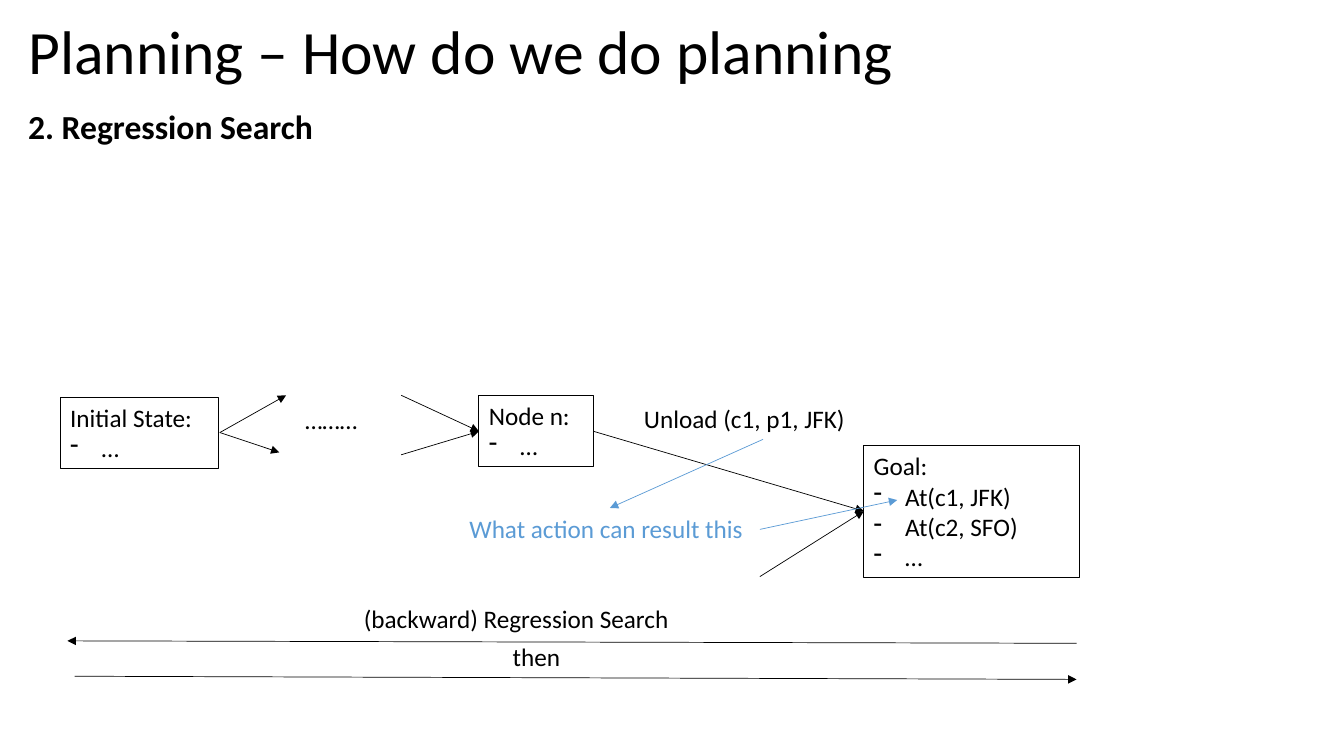
from lxml import etree
from pptx import Presentation
from pptx.dml.color import RGBColor
from pptx.enum.shapes import MSO_CONNECTOR, MSO_SHAPE
from pptx.enum.text import MSO_ANCHOR, PP_ALIGN
from pptx.oxml.ns import qn
from pptx.util import Cm, Pt

BLACK = RGBColor(0x00, 0x00, 0x00)
BLUE = RGBColor(0x5B, 0x9B, 0xD5)
LINE = MSO_CONNECTOR.STRAIGHT
RECT = MSO_SHAPE.RECTANGLE
MIDDLE = MSO_ANCHOR.MIDDLE
LEFT = PP_ALIGN.LEFT
HANG = Cm(0.79)


def style(par, size=18, color=BLACK, bold=False):
    par.alignment = LEFT
    par.font.color.rgb = color
    for key, value in {"name": "Calibri", "size": Pt(size), "bold": bold}.items():
        setattr(par.font, key, value)


deck = Presentation()
deck.slide_width, deck.slide_height = Cm(33.87), Cm(19.05)
slide = deck.slides.add_slide(deck.slide_layouts[5])
shapes = slide.shapes

title = shapes.title
place = {"left": 0.46, "top": 0.36, "width": 32.79, "height": 2.03}
for key, value in place.items():
    setattr(title, key, Cm(value))
title.text_frame.text = "Planning – How do we do planning"
title.text_frame.vertical_anchor = MIDDLE
head = title.text_frame.paragraphs[0]
head.line_spacing = 0.9
style(head, 44)

# Labels: text, left, top, width, height, format
labels = [
    ("2. Regression Search", 0.46, 2.54, 8.1, 1.27, {"size": 24, "bold": True}),
    ("………", 7.44, 10.06, 1.91, 1.14, {}),
    ("Unload (c1, p1, JFK)", 15.98, 10.03, 6.5, 1.02, {}),
    ("What action can result this", 11.58, 12.8, 7.59, 1.02, {"color": BLUE}),
    ("(backward) Regression Search", 8.92, 15.09, 9.5, 1.02, {}),
    ("then", 12.67, 16.03, 1.96, 1.02, {}),
]
for text, left, top, width, height, form in labels:
    label = shapes.add_textbox(Cm(left), Cm(top), Cm(width), Cm(height))
    label.text_frame.text = text
    style(label.text_frame.paragraphs[0], **form)

# State boxes: heading, facts, left, top, width, height
states = [
    ("Initial State:", ["…"], 1.52, 10.01, 3.99, 1.8),
    ("Node n:", ["…"], 12.07, 9.96, 2.9, 1.8),
    ("Goal:", ["At(c1, JFK)", "At(c2, SFO)", "…"], 21.77, 11.23, 5.44, 3.33),
]
for name, facts, left, top, width, height in states:
    box = shapes.add_shape(RECT, Cm(left), Cm(top), Cm(width), Cm(height))
    box.shadow.inherit = False
    box.fill.background()
    box.line.color.rgb = BLACK
    box.line.width = Pt(0.75)
    frame = box.text_frame
    frame.word_wrap = True
    frame.vertical_anchor = MSO_ANCHOR.TOP
    frame.text = "\n".join([name] + facts)
    for par in frame.paragraphs:
        style(par)
    for par in frame.paragraphs[1:]:
        props = par._p.get_or_add_pPr()
        props.set("marL", str(HANG))
        props.set("indent", str(-HANG))
        bullet = etree.Element(qn("a:buChar"), char="-")
        props.insert_element_before(bullet, "a:tabLst", "a:defRPr", "a:extLst")

# Arrows: start x, y, end x, y, color
node, goal, start = (12.07, 10.87), (21.77, 12.88), (5.54, 10.9)
arrows = [
    (*start, 7.21, 9.96, BLACK),
    (*start, 7.04, 11.4, BLACK),
    (10.11, 9.96, *node, BLACK),
    (10.11, 11.46, *node, BLACK),
    (14.96, 10.87, *goal, BLACK),
    (19.15, 14.53, *goal, BLACK),
    (19.23, 11.07, 15.37, 12.8, BLUE),
    (19.15, 13.34, 22.61, 12.6, BLUE),
    (27.13, 16.21, 1.7, 16.15, BLACK),
    (1.88, 17.04, 27.13, 17.12, BLACK),
]
for *ends, color in arrows:
    arrow = shapes.add_connector(LINE, *[Cm(end) for end in ends])
    arrow.line.color.rgb = color
    arrow.line.width = Pt(0.5)
    etree.SubElement(arrow.line._get_or_add_ln(), qn("a:tailEnd"), type="triangle")
    etree.SubElement(arrow._element.spPr, qn("a:effectLst"))

deck.save("out.pptx")
